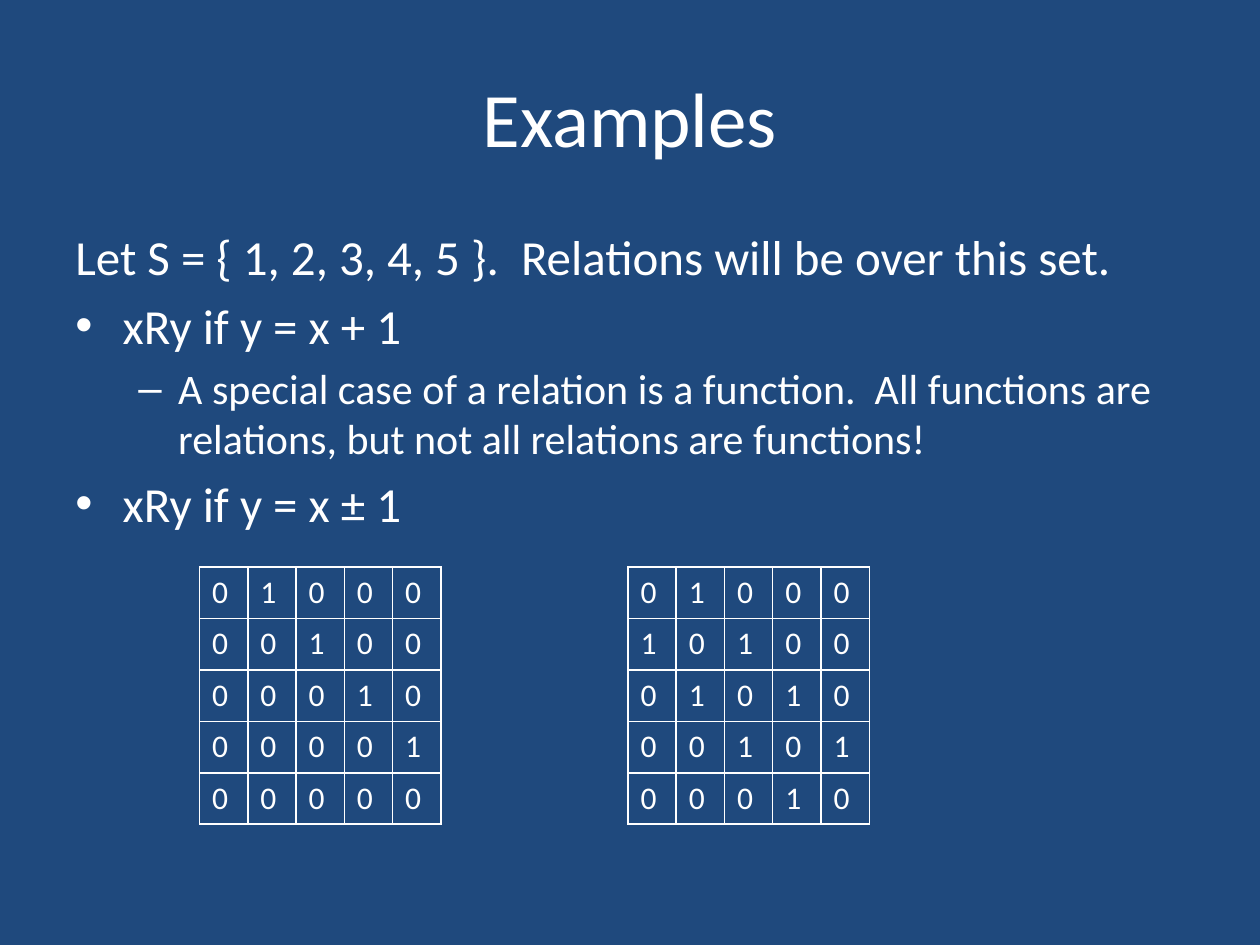
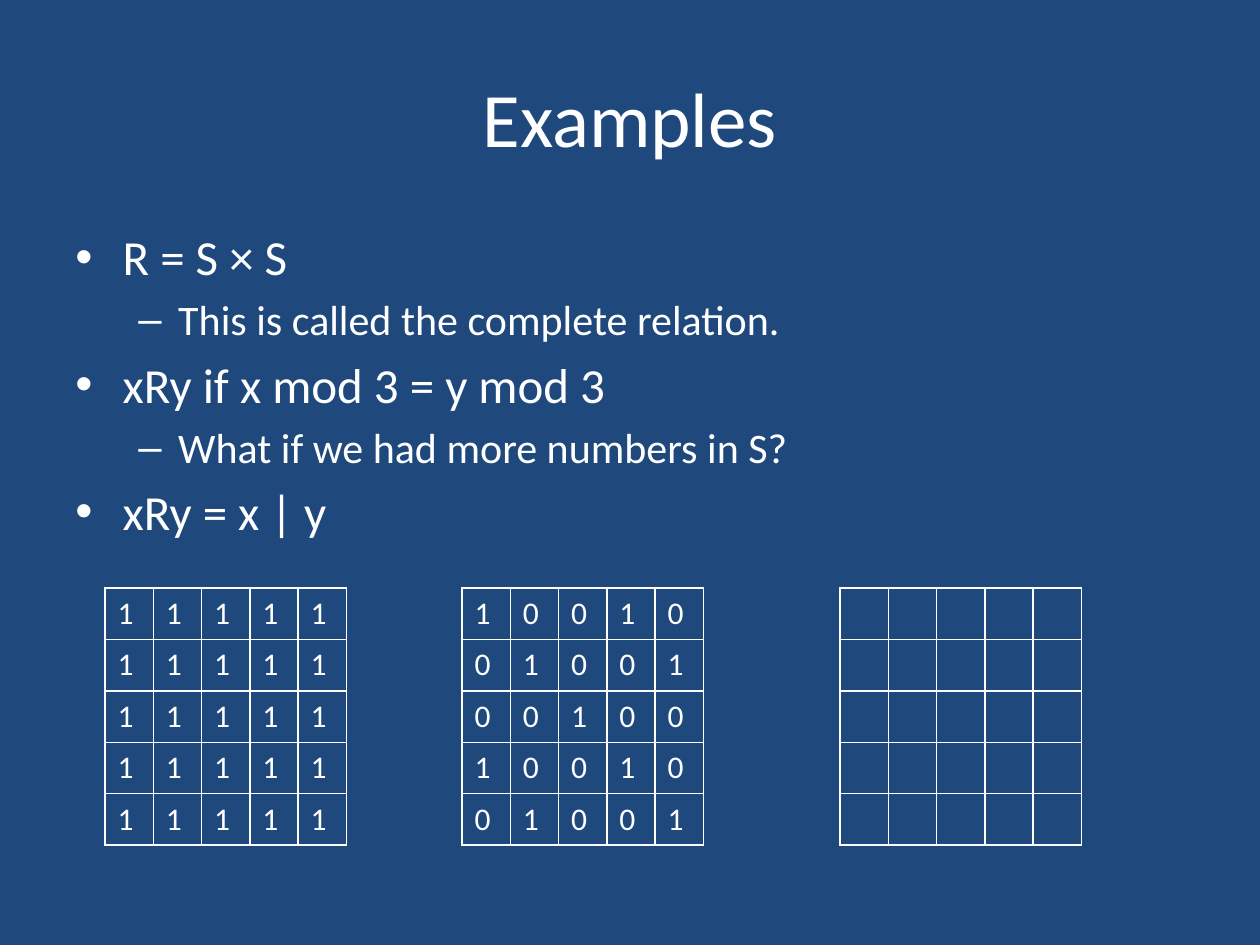
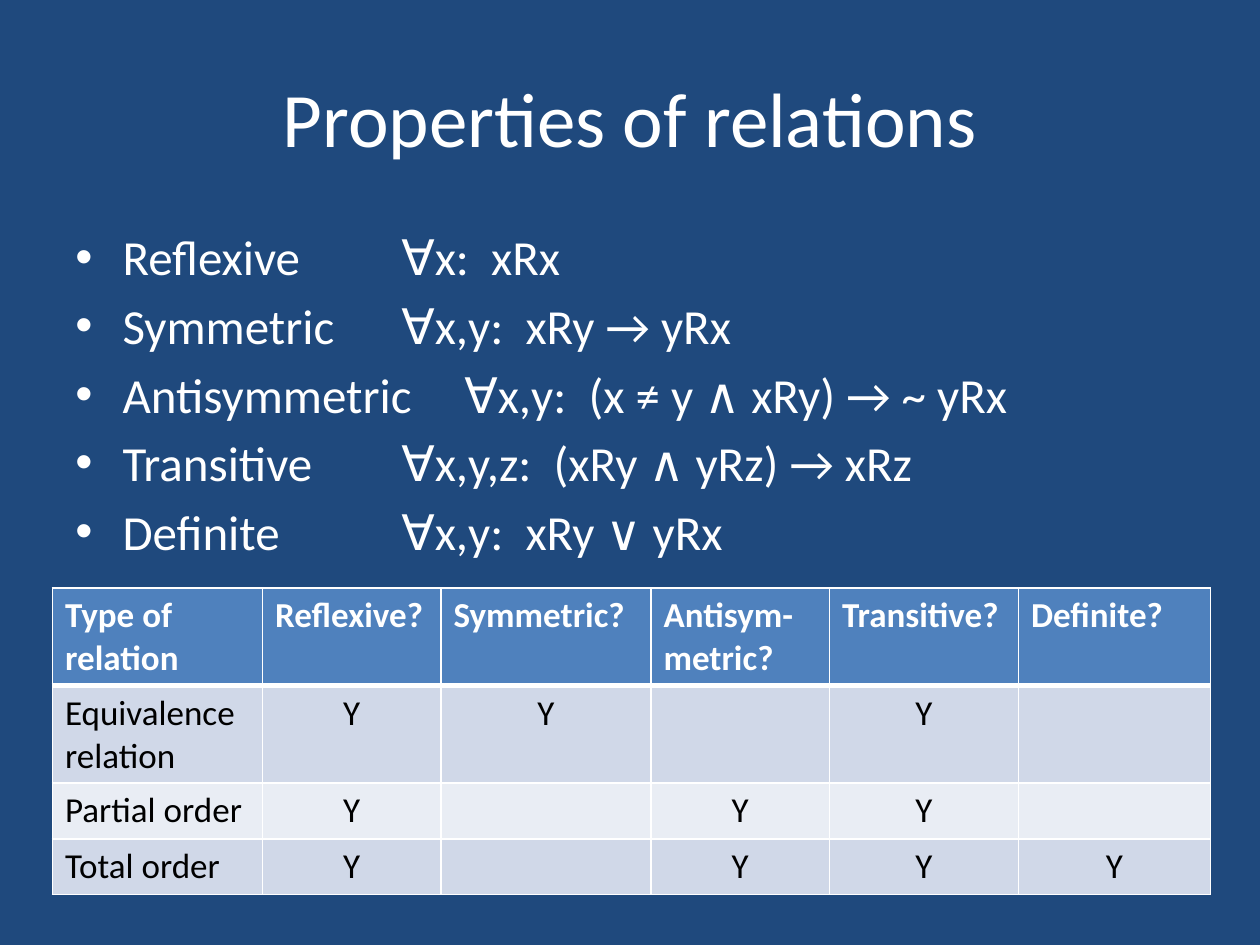
import dataclasses

import pptx
import pptx.dml.color
import pptx.enum.text
import pptx.oxml
import pptx.oxml.ns
import pptx.util
from lxml import etree

PX = 914400 // 120  # one px in EMU
RGB = pptx.dml.color.RGBColor.from_string
ALIGN = pptx.enum.text.PP_ALIGN
qn = pptx.oxml.ns.qn


@dataclasses.dataclass(frozen=True)
class Theme:
    font: str = "Calibri"
    back: str = "1F497D"
    light: str = "FFFFFF"
    dark: str = "000000"
    header: str = "4F81BD"
    bands: tuple = ("D0D8E8", "E9EDF4")
    title: int = 44
    body: tuple = (28, 24)  # by level
    matrix: int = 18
    table: int = 20


T = Theme()

# Left margin, hanging indent (px) and bullet by level
LEVELS = [(45, -45, "•"), (98, -38, "–")]


def style_text(tf, size, color, bold=False, align=None):
    for p in tf.paragraphs:
        p.alignment = align
        for r in p.runs:
            r.font.name, r.font.size, r.font.bold = T.font, pptx.util.Pt(size), bold
            r.font.color.rgb = RGB(color)


def add_grid(s, x, y, col_widths, row_heights, header=False):
    """Add an unfilled table with white rules, thicker below a header."""
    table = s.shapes.add_table(len(row_heights), len(col_widths), x * PX, y * PX,
                               sum(col_widths) * PX, sum(row_heights) * PX).table
    table.first_row = table.horz_banding = False
    for col, width in zip(table.columns, col_widths):
        col.width = width * PX
    for i, (row, height) in enumerate(zip(table.rows, row_heights)):
        row.height = height * PX
        for cell in row.cells:
            tcPr = cell._tc.get_or_add_tcPr()
            for side in "LRTB":
                thick = header and (i, side) in [(0, "B"), (1, "T")]
                ln = etree.SubElement(tcPr, qn("a:ln" + side), w=str(12700 * (3 if thick else 1)))
                fill = etree.SubElement(ln, qn("a:solidFill"))
                etree.SubElement(fill, qn("a:srgbClr"), val=T.light)
            cell.fill.background()
    return table


# Content: title, body as (level, bulleted, text), matrices as (x, y, rows)
slides = [
    ("Examples", [
        (0, False, "Let S = { 1, 2, 3, 4, 5 }.  Relations will be over this set."),
        (0, True, "xRy if y = x + 1"),
        (1, True, "A special case of a relation is a function.  All functions are "
                  "relations, but not all relations are functions!"),
        (0, True, "xRy if y = x ± 1"),
    ], [
        (190, 540, ["01000", "00100", "00010", "00001", "00000"]),
        (598, 540, ["01000", "10100", "01010", "00101", "00010"]),
    ]),
    ("Examples", [
        (0, True, "R = S × S"),
        (1, True, "This is called the complete relation."),
        (0, True, "xRy if x mod 3 = y mod 3"),
        (1, True, "What if we had more numbers in S?"),
        (0, True, "xRy = x | y"),
    ], [
        (100, 560, ["11111"] * 5),
        (440, 560, ["10010", "01001", "00100", "10010", "01001"]),
        (800, 560, []),
    ]),
    ("Properties of relations", [
        (0, True, "Reflexive\t\t ∀x:  xRx"),
        (0, True, "Symmetric\t ∀x,y:  xRy → yRx"),
        (0, True, "Antisymmetric\t ∀x,y:  (x ≠ y ∧ xRy) → ~ yRx"),
        (0, True, "Transitive\t\t ∀x,y,z:  (xRy ∧ yRz) → xRz"),
        (0, True, "Definite\t\t ∀x,y:  xRy ∨ yRx"),
    ], []),
]

properties = [
    ["Type of\nrelation", "Reflexive?", "Symmetric?", "Antisym-metric?", "Transitive?", "Definite?"],
    ["Equivalence relation", "Y", "Y", "", "Y", ""],
    ["Partial order", "Y", "", "Y", "Y", ""],
    ["Total order", "Y", "", "Y", "Y", "Y"],
]

prs = pptx.Presentation()
prs.slide_width, prs.slide_height = 1200 * PX, 900 * PX
background = prs.slide_master.background.fill
background.solid()
background.fore_color.rgb = RGB(T.back)

for title, body, matrices in slides:
    s = prs.slides.add_slide(prs.slide_layouts[6])

    # Title
    tf = s.shapes.add_textbox(60 * PX, 36 * PX, 1080 * PX, 150 * PX).text_frame
    tf.word_wrap = True
    tf.vertical_anchor = pptx.enum.text.MSO_ANCHOR.MIDDLE
    tf.text = title
    style_text(tf, T.title, T.light, align=ALIGN.CENTER)

    # Body
    tf = s.shapes.add_textbox(60 * PX, 210 * PX, 1080 * PX, 594 * PX).text_frame
    tf.word_wrap = True
    tf.text = "\n".join(text for _, _, text in body)
    style_text(tf, T.body[0], T.light)
    for p, (level, bulleted, _) in zip(tf.paragraphs, body):
        margin, indent, bullet = LEVELS[level]
        p.level = level
        p.runs[0].font.size = pptx.util.Pt(T.body[level])
        pPr = p._p.get_or_add_pPr()
        pPr.set("marL", str(margin * PX))
        pPr.set("indent", str(indent * PX))
        before = etree.SubElement(pPr, qn("a:spcBef"))
        etree.SubElement(before, qn("a:spcPct"), val="20000")
        if bulleted:
            etree.SubElement(pPr, qn("a:buFont"), typeface="Arial")
            etree.SubElement(pPr, qn("a:buChar"), char=bullet)

    # Relation matrices
    for x, y, rows in matrices:
        table = add_grid(s, x, y, [46] * 5, [49] * 5)
        for i, row in enumerate(rows):
            for j, digit in enumerate(row):
                tf = table.cell(i, j).text_frame
                tf.text = digit
                style_text(tf, T.matrix, T.light)

# Table of properties on the last slide
table = add_grid(s, 50, 560, [200, 170, 200, 170, 180, 183], [93, 93, 53, 53], header=True)
for i, row in enumerate(properties):
    for j, text in enumerate(row):
        cell = table.cell(i, j)
        cell.fill.solid()
        cell.fill.fore_color.rgb = RGB(T.bands[(i - 1) % 2] if i else T.header)
        if text:
            cell.text_frame.text = text
            style_text(cell.text_frame, T.table, T.dark if i else T.light, bold=i == 0,
                       align=ALIGN.CENTER if i and j else None)

prs.save("out.pptx")
